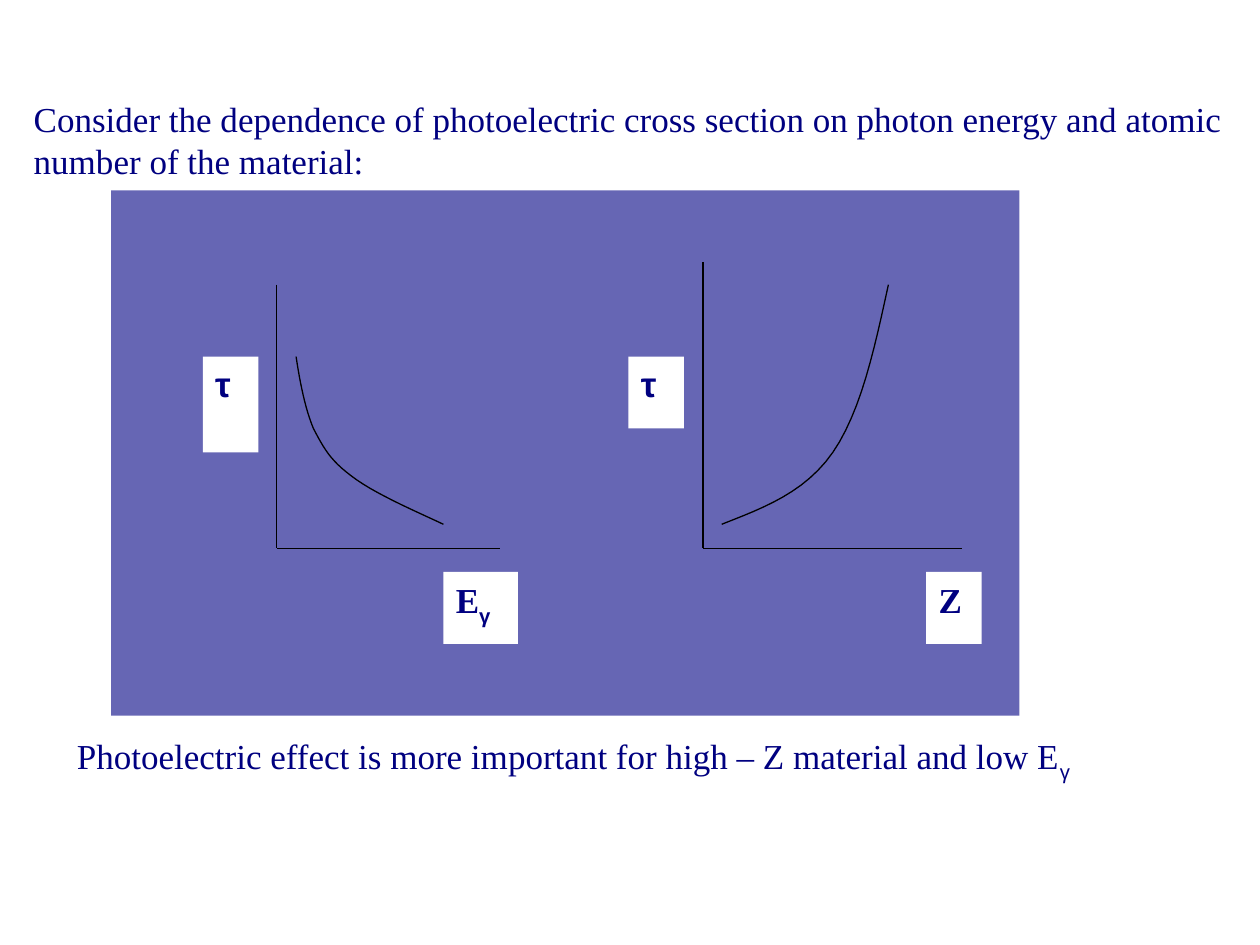
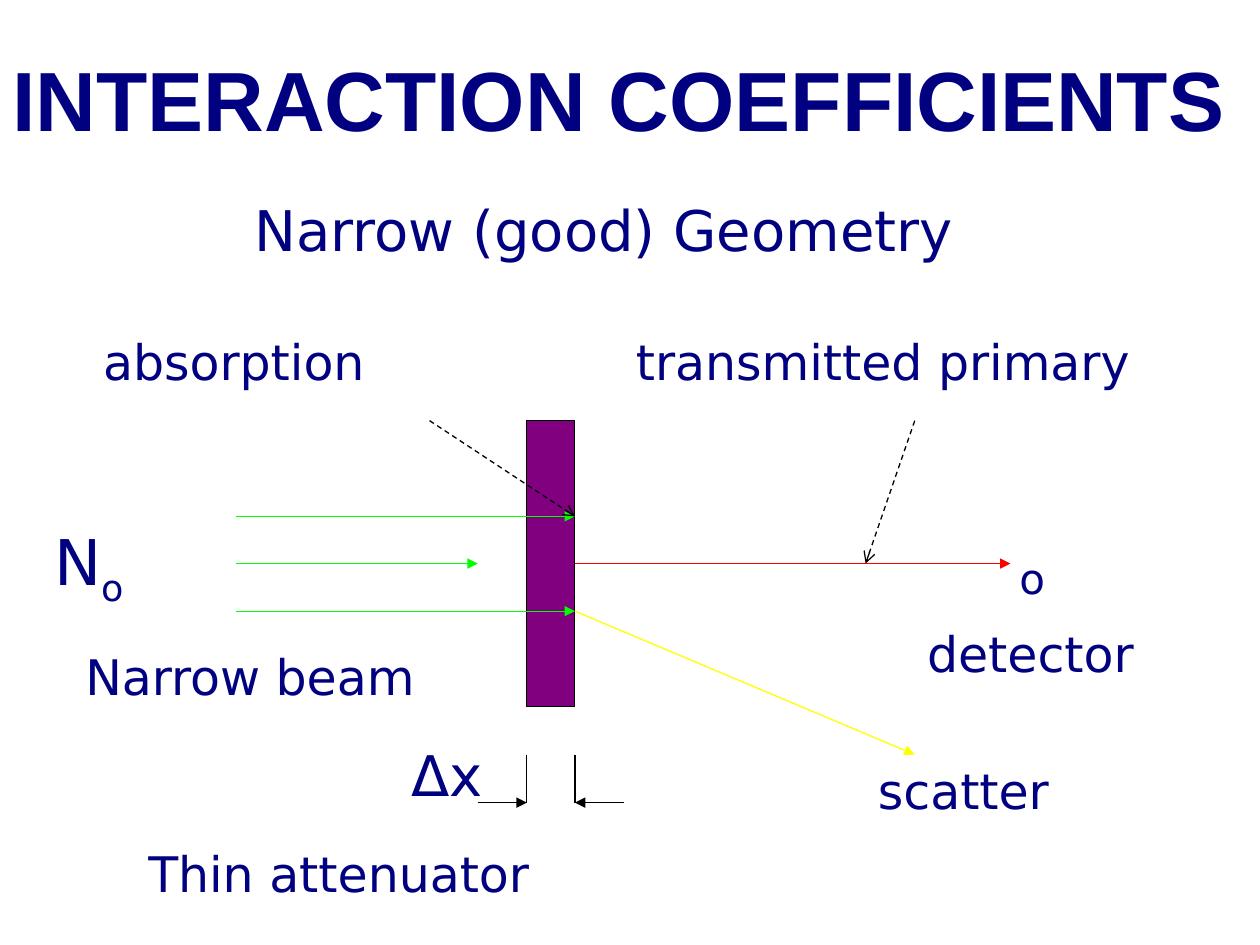
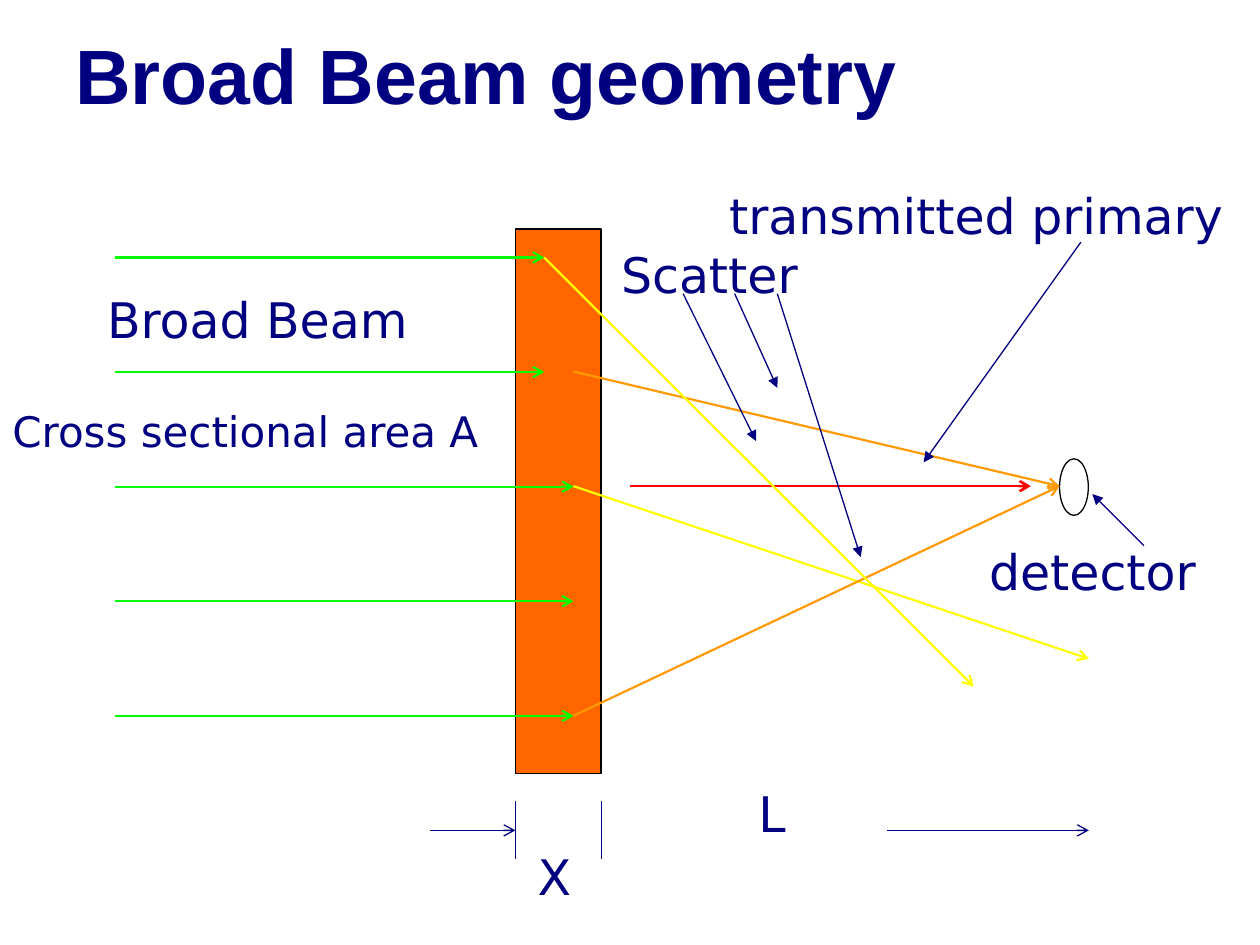
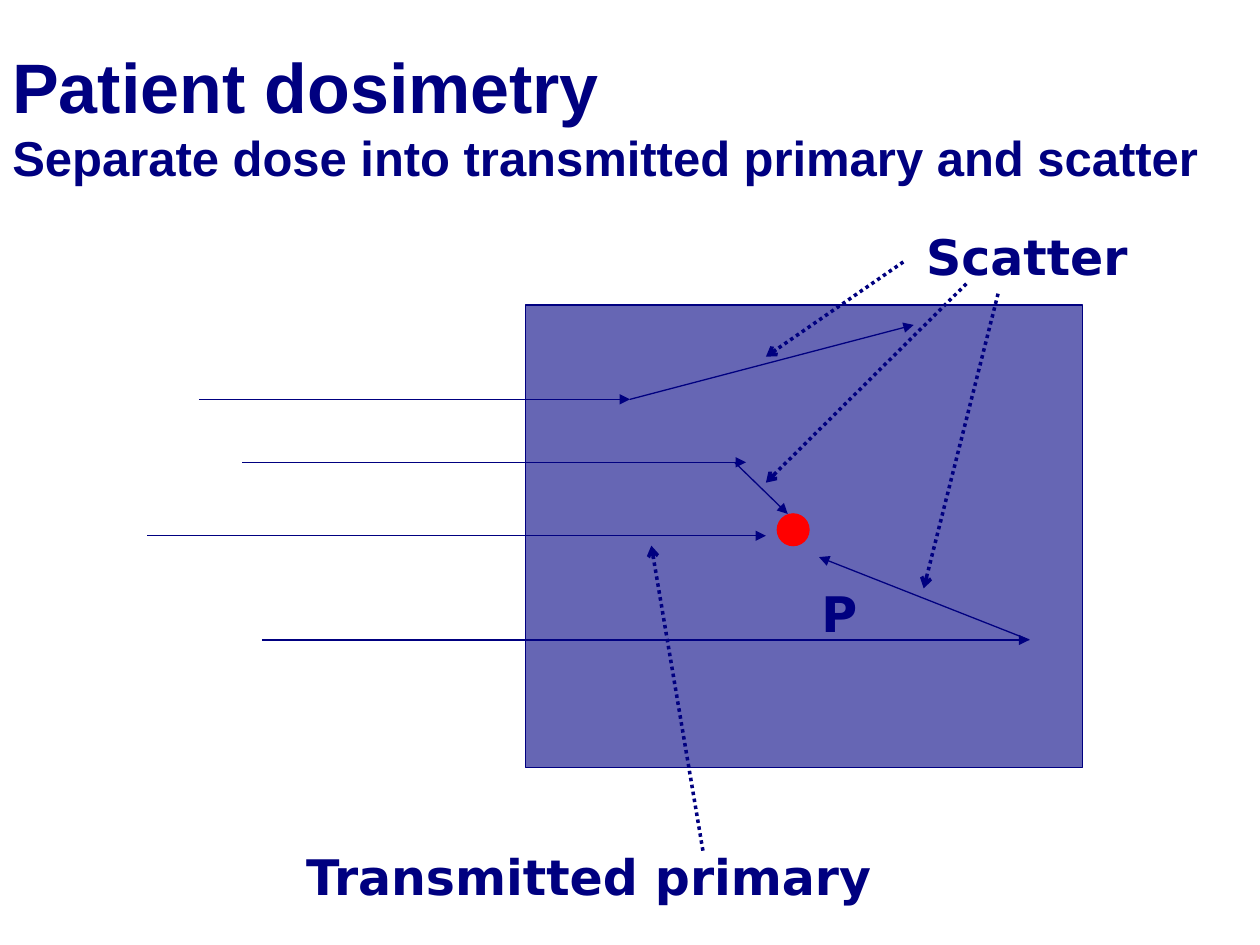
"""Build four slides on photon interactions, beam geometry and patient dosimetry."""
from dataclasses import dataclass, replace

from lxml.etree import SubElement
from pptx import Presentation
from pptx.dml.color import RGBColor
from pptx.enum.dml import MSO_LINE
from pptx.enum.shapes import MSO_CONNECTOR, MSO_SHAPE
from pptx.enum.text import MSO_ANCHOR, PP_ALIGN
from pptx.oxml.ns import qn
from pptx.util import Cm, Pt


@dataclass(frozen=True)
class TextStyle:
    size: float
    font: str = "DejaVu Sans"
    bold: bool = False
    subscript_font: str = "DejaVu Sans"
    subscript_drop: int = -25
    indent: float = 0
    space_before: float = 0


@dataclass(frozen=True)
class LineStyle:
    color: str
    width: float = 0.75
    dash: object = None
    head: str = ""


@dataclass(frozen=True)
class Theme:
    navy: str = "000080"
    black: str = "000000"
    white: str = "FFFFFF"
    panel: str = "6666B4"
    purple: str = "800080"
    slab: str = "FF6600"
    green: str = "00FF00"
    red: str = "FF0000"
    yellow: str = "FFFF00"
    orange: str = "FF9900"
    title: TextStyle = TextStyle(44, "Arial", True)
    label: TextStyle = TextStyle(28)
    serif: TextStyle = TextStyle(20, "Times New Roman", False, "Arial", -30)


THEME = Theme()
LABEL, SERIF = THEME.label, THEME.serif
BOLD_LABEL = replace(LABEL, bold=True)
AXIS_NAME = replace(SERIF, bold=True)
GREEK_NAME = replace(AXIS_NAME, font="Arial")

OUTLINE = LineStyle(THEME.black)
NAVY_LINE = LineStyle(THEME.navy)
NAVY_ARROW = LineStyle(THEME.navy, head="triangle")
NAVY_OPEN = LineStyle(THEME.navy, head="arrow")
BLACK_ARROW = LineStyle(THEME.black, head="triangle")
DASHED_POINTER = LineStyle(THEME.black, dash=MSO_LINE.DASH, head="arrow")
DOTTED_POINTER = LineStyle(THEME.navy, 2, MSO_LINE.ROUND_DOT, "arrow")
NARROW_BEAM = LineStyle(THEME.green, head="triangle")
NARROW_PRIMARY = LineStyle(THEME.red, head="triangle")
NARROW_SCATTER = LineStyle(THEME.yellow, head="triangle")
BROAD_BEAM = LineStyle(THEME.green, 1.25, head="arrow")
BROAD_PRIMARY = LineStyle(THEME.red, 1.5, head="arrow")
STRAY_SCATTER = LineStyle(THEME.yellow, 1.25, head="arrow")
CAUGHT_SCATTER = LineStyle(THEME.orange, 1.25, head="arrow")

CROSS_SECTION = {
    "panel": (2.24, 3.84, 18.31, 10.59),
    "axes": [
        {"origin": (5.58, 11.05), "top": 5.74, "right": 10.08},
        {"origin": (14.17, 11.05), "top": 5.28, "right": 19.4},
    ],
    "curves": [
        [(5.97, 7.19), (6.05, 7.72), (6.15, 8.23), (6.32, 8.64),
         (6.53, 9.04), (6.65, 9.27), (7.09, 9.6),
         (7.52, 9.93), (8.23, 10.24), (8.94, 10.57)],
        [(14.55, 10.57), (15.39, 10.24), (16.23, 9.93), (16.79, 9.12),
         (17.35, 8.31), (17.63, 7.04), (17.91, 5.74)],
    ],
    "axis_names": [
        ((4.09, 7.19, 1.12, 1.93), "τ", GREEK_NAME),
        ((8.94, 11.53, 1.5, 1.45), "E_γ", AXIS_NAME),
        ((12.67, 7.19, 1.12, 1.45), "τ", GREEK_NAME),
        ((18.67, 11.53, 1.12, 1.45), "Z", AXIS_NAME),
    ],
    "labels": [
        ((0.43, 1.85, 24.56, 2), "Consider the dependence of photoelectric cross section "
         "on photon energy and atomic number of the material:", SERIF),
        ((1.3, 14.68, 20.9, 1.4),
         "Photoelectric effect is more important for high – Z material and low E_γ", SERIF),
    ],
}

NARROW = {
    "title": ((0, 0.76, 25.4, 2.41), [("INTERACTION COEFFICIENTS", replace(THEME.title, size=48))]),
    "attenuator": (10.62, 8.48, 0.97, 5.77),
    "gauge": (15.21, 16.18),
    "beam_start": 4.75,
    "beams": [(10.41, 11.59), (11.36, 9.63), (12.32, 11.59)],
    "arrows": [
        (12.57, 16.18, 11.59, 16.18, BLACK_ARROW),
        (9.63, 16.18, 10.62, 16.18, BLACK_ARROW),
        (11.59, 11.36, 20.37, 11.36, NARROW_PRIMARY),
        (11.59, 12.32, 18.44, 15.21, NARROW_SCATTER),
        (8.66, 8.48, 11.59, 10.41, DASHED_POINTER),
        (18.44, 8.48, 17.45, 11.36, DASHED_POINTER),
    ],
    "labels": [
        ((4.88, 3.81, 15.24, 1.63), "Narrow (good) Geometry", replace(LABEL, size=32)),
        ((1.83, 6.55, 7.82, 2.9), "absorption", LABEL),
        ((12.57, 6.55, 12.7, 2.9), "transmitted primary", LABEL),
        ((0.84, 10.41, 3.91, 2.87), "N_o", replace(LABEL, size=36)),
        ((20.3, 11.02, 1.2, 1.3), "o", replace(LABEL, size=24)),
        ((18.44, 12.45, 5.87, 1.45), "detector", LABEL),
        ((1.47, 12.9, 8.26, 1.45), "Narrow beam", LABEL),
        ((17.45, 15.21, 6.83, 2.9), "scatter", LABEL),
    ],
    "thickness": ((2.74, 14.81, 8.46, 4.2), [
        ("Δx", replace(LABEL, size=32, indent=5.3)),
        ("Thin attenuator", replace(LABEL, space_before=20)),
    ]),
}

BROAD = {
    "title": ((1.27, 0, 22.86, 2.97), [("Broad Beam geometry", THEME.title)]),
    "slab": (10.39, 4.62, 1.73, 10.97),
    "detector": (21.36, 9.25, 0.58, 1.14),
    "gauge": (16.15, 17.32),
    "beam_start": 2.31,
    "first_beam": 5.19,
    "beam_gap": 2.31,
    "beam_ends": [10.97, 10.97, 11.56, 11.56, 11.56],
    "arrows": [
        (8.66, 16.74, 10.39, 16.74, NAVY_OPEN),
        (17.88, 16.74, 21.95, 16.74, NAVY_OPEN),
        (12.7, 9.8, 20.78, 9.8, BROAD_PRIMARY),
        (11.56, 9.8, 21.95, 13.28, STRAY_SCATTER),
        (11.56, 14.43, 21.36, 9.8, CAUGHT_SCATTER),
        (11.56, 7.49, 21.36, 9.8, CAUGHT_SCATTER),
        (10.97, 5.19, 19.63, 13.84, STRAY_SCATTER),
        (23.06, 11, 22.02, 9.96, NAVY_ARROW),
        (21.79, 4.88, 18.62, 9.32, NAVY_ARROW),
        (14.81, 5.92, 15.67, 7.82, NAVY_ARROW),
        (13.77, 5.92, 15.24, 8.89, NAVY_ARROW),
        (15.67, 5.92, 17.35, 11.23, NAVY_ARROW),
    ],
    "labels": [
        ((1.91, 5.72, 7.19, 1.45), "Broad Beam", LABEL),
        ((0, 8.05, 11.23, 1.27), "Cross sectional area A", replace(LABEL, size=24)),
        ((15.04, 15.67, 2.11, 1.45), "L", LABEL),
        ((10.59, 16.94, 1.47, 1.45), "X", LABEL),
        ((19.69, 10.8, 5.72, 1.45), "detector", LABEL),
    ],
    "rays": ((12.27, 3.61, 13.13, 2.64), [
        ("transmitted primary", replace(LABEL, indent=2.18)),
        ("Scatter", LABEL),
    ]),
}

PATIENT = {
    "title": ((0, 0, 25.4, 4.65), [
        ("Patient dosimetry", replace(THEME.title, size=40)),
        ("Separate dose into transmitted primary and scatter", replace(THEME.title, size=28)),
    ]),
    "body": (10.59, 6.15, 11.23, 9.32),
    "point": (15.67, 10.36, 0.64, 0.64),
    "photons": [
        (2.97, 10.8, 15.44, 10.8),
        (4.01, 8.05, 12.7, 8.05),
        (12.7, 8.05, 18.42, 6.55),
        (5.28, 12.9, 20.75, 12.9),
        (20.75, 12.9, 16.51, 11.23),
        (4.88, 9.32, 15.04, 9.32),
        (14.81, 9.32, 15.88, 10.36),
    ],
    "pointers": [
        (14.17, 17.15, 13.13, 11),
        (19.48, 5.72, 15.44, 9.73),
        (18.21, 5.28, 15.44, 7.19),
        (20.12, 5.92, 18.62, 11.86),
    ],
    "labels": [
        ((16.31, 11.63, 1.47, 1.45), "P", BOLD_LABEL),
        ((5.92, 16.94, 13.97, 1.45), "Transmitted primary", BOLD_LABEL),
        ((18.42, 4.45, 6.15, 1.45), "Scatter", BOLD_LABEL),
    ],
}


def color_of(code):
    return RGBColor.from_string(code)


def lengths(values):
    return [Cm(value) for value in values]


def write(frame, lines, anchor=MSO_ANCHOR.TOP):
    frame.word_wrap = True
    frame.vertical_anchor = anchor
    for index, (text, style) in enumerate(lines):
        para = frame.add_paragraph() if index else frame.paragraphs[0]
        para.alignment = PP_ALIGN.LEFT
        if style.indent:
            para._p.get_or_add_pPr().set("marL", str(Cm(style.indent)))
        if style.space_before:
            para.space_before = Pt(style.space_before)
        para.font.size = Pt(style.size)
        para.font.bold = style.bold
        para.font.name = style.font
        para.font.color.rgb = color_of(THEME.navy)
        base, _, subscript = text.partition("_")
        para.add_run().text = base
        if subscript:
            span = para.add_run()
            span.text = subscript
            span.font.name = style.subscript_font
            span.font._element.set("baseline", str(style.subscript_drop * 1000))


def add_text(page, place, lines, anchor=MSO_ANCHOR.TOP):
    write(page.shapes.add_textbox(*lengths(place)).text_frame, lines, anchor)


def add_title(page, title):
    add_text(page, *title, MSO_ANCHOR.MIDDLE)


def add_labels(page, labels):
    for place, text, style in labels:
        add_text(page, place, [(text, style)])


def style_line(line, style):
    line.color.rgb = color_of(style.color)
    line.width = Pt(style.width)
    if style.dash:
        line.dash_style = style.dash


def add_block(page, place, fill, outline=None, kind=MSO_SHAPE.RECTANGLE):
    block = page.shapes.add_shape(kind, *lengths(place))
    block.shadow.inherit = False
    block.fill.solid()
    block.fill.fore_color.rgb = color_of(fill)
    if outline:
        style_line(block.line, outline)
    else:
        block.line.fill.background()
    return block


def add_line(page, left, top, right, bottom, style):
    ends = lengths((left, top, right, bottom))
    connector = page.shapes.add_connector(MSO_CONNECTOR.STRAIGHT, *ends)
    style_line(connector.line, style)
    if style.head:
        SubElement(connector.line._get_or_add_ln(), qn("a:tailEnd"), type=style.head)
    SubElement(connector._element.spPr, qn("a:effectLst"))


def add_gauge(page, block, gauge):
    left, _, width, _ = block
    for edge in (left, left + width):
        yield_style = NAVY_LINE if block is BROAD["slab"] else OUTLINE
        add_line(page, edge, gauge[0], edge, gauge[1], yield_style)


def bezier_points(controls, steps=12):
    for first in range(0, len(controls) - 1, 3):
        segment = controls[first:first + 4]
        for step in range(1, steps + 1):
            t = step / steps
            weights = ((1 - t) ** 3, 3 * t * (1 - t) ** 2, 3 * t * t * (1 - t), t ** 3)
            yield tuple(
                Cm(sum(weight * point[axis] for weight, point in zip(weights, segment)))
                for axis in (0, 1))


def add_curve(page, controls):
    builder = page.shapes.build_freeform(*lengths(controls[0]))
    builder.add_line_segments(list(bezier_points(controls)), close=False)
    curve = builder.convert_to_shape()
    curve.shadow.inherit = False
    curve.fill.background()
    style_line(curve.line, OUTLINE)


def draw_cross_section(page):
    add_block(page, CROSS_SECTION["panel"], THEME.panel)
    for axes in CROSS_SECTION["axes"]:
        left, bottom = axes["origin"]
        add_line(page, left, axes["top"], left, bottom, OUTLINE)
        add_line(page, left, bottom, axes["right"], bottom, OUTLINE)
    for controls in CROSS_SECTION["curves"]:
        add_curve(page, controls)
    for place, text, style in CROSS_SECTION["axis_names"]:
        write(add_block(page, place, THEME.white).text_frame, [(text, style)])
    add_labels(page, CROSS_SECTION["labels"])


def draw_narrow_geometry(page):
    add_title(page, NARROW["title"])
    add_block(page, NARROW["attenuator"], THEME.purple, OUTLINE)
    add_gauge(page, NARROW["attenuator"], NARROW["gauge"])
    for height, end in NARROW["beams"]:
        add_line(page, NARROW["beam_start"], height, end, height, NARROW_BEAM)
    for arrow in NARROW["arrows"]:
        add_line(page, *arrow)
    add_labels(page, NARROW["labels"])
    add_text(page, *NARROW["thickness"])


def draw_broad_geometry(page):
    add_title(page, BROAD["title"])
    add_block(page, BROAD["slab"], THEME.slab, OUTLINE)
    add_block(page, BROAD["detector"], THEME.white, OUTLINE, MSO_SHAPE.OVAL)
    add_gauge(page, BROAD["slab"], BROAD["gauge"])
    for index, end in enumerate(BROAD["beam_ends"]):
        height = BROAD["first_beam"] + index * BROAD["beam_gap"]
        add_line(page, BROAD["beam_start"], height, end, height, BROAD_BEAM)
    for arrow in BROAD["arrows"]:
        add_line(page, *arrow)
    add_labels(page, BROAD["labels"])
    add_text(page, *BROAD["rays"])


def draw_patient_dosimetry(page):
    add_title(page, PATIENT["title"])
    add_block(page, PATIENT["body"], THEME.panel, NAVY_LINE)
    add_block(page, PATIENT["point"], THEME.red, LineStyle(THEME.red), MSO_SHAPE.OVAL)
    for photon in PATIENT["photons"]:
        add_line(page, *photon, NAVY_ARROW)
    for pointer in PATIENT["pointers"]:
        add_line(page, *pointer, DOTTED_POINTER)
    add_labels(page, PATIENT["labels"])


def main():
    deck = Presentation()
    deck.slide_width, deck.slide_height = Cm(25.4), Cm(19.05)
    for draw in (draw_cross_section, draw_narrow_geometry,
                 draw_broad_geometry, draw_patient_dosimetry):
        draw(deck.slides.add_slide(deck.slide_layouts[6]))
    deck.save("out.pptx")


if __name__ == "__main__":
    main()
